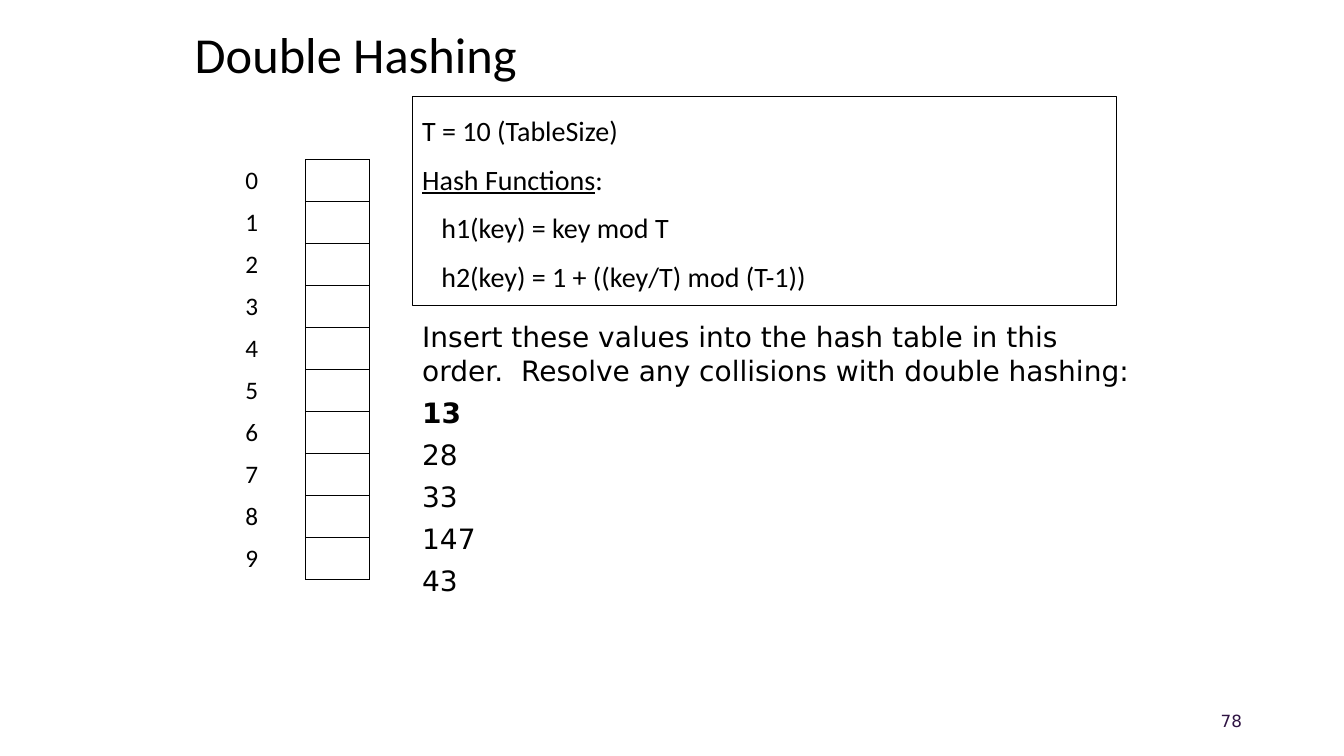
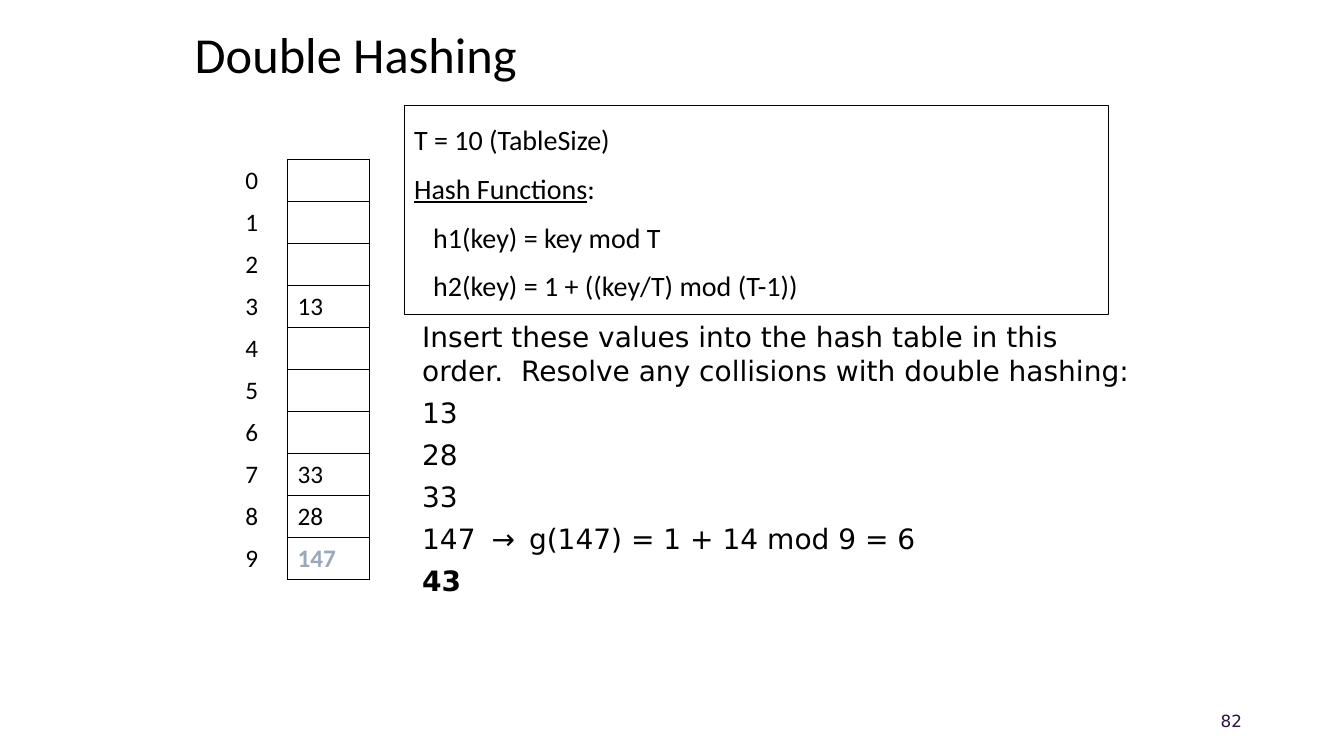
from lxml import etree
from pptx import Presentation
from pptx import util as u
from pptx.dml.color import RGBColor
from pptx.enum import shapes, text
from pptx.oxml import ns

WIDTH, HEIGHT = u.Inches(13.333), u.Inches(7.5)
COLUMN, ROW = WIDTH / 40, HEIGHT / 18
BLACK, PLUM, GREY_BLUE = "000000", "2F1343", "99A8BD"
HEADING_FONT, READING_FONT = "Calibri", "DejaVu Sans"
TASK = ("Insert these values into the hash table in this order.  "
        "Resolve any collisions with double hashing:")
KEYS = ["13", "28", "33", "147", "43"]
SLOT_COUNT = 10


def color(hex_code):
    return RGBColor.from_string(hex_code)


def place(left, top, width, height):
    return (u.Emu(round(left * COLUMN)), u.Emu(round(top * ROW)),
            u.Emu(round(width * COLUMN)), u.Emu(round(height * ROW)))


def style(paragraph, face, size, ink=BLACK, bold=False):
    for run in paragraph.runs:
        run.font.name = face
        run.font.size = u.Pt(size)
        run.font.color.rgb = color(ink)
        run.font.bold = bold


def add_lines(slide, area, lines, anchor=text.MSO_ANCHOR.TOP):
    frame = slide.shapes.add_textbox(*place(*area)).text_frame
    frame.word_wrap = True
    frame.vertical_anchor = anchor
    frame.text = "\n".join(lines)
    for paragraph in frame.paragraphs[1:]:
        paragraph.space_before = u.Pt(6)
    return frame.paragraphs


def add_title(slide, words):
    title, = add_lines(slide, (5.5, 0.45, 29, 1.8), [words], text.MSO_ANCHOR.MIDDLE)
    title.line_spacing = 0.9
    style(title, HEADING_FONT, 36)


def add_page_number(slide, number):
    page, = add_lines(slide, (28.26, 16.68, 9, 0.96), [str(number)], text.MSO_ANCHOR.MIDDLE)
    page.alignment = text.PP_ALIGN.RIGHT
    style(page, READING_FONT, 12, PLUM)


def add_tabs(paragraph, stops):
    tabs = etree.SubElement(paragraph._p.get_or_add_pPr(), ns.qn("a:tabLst"))
    for stop in stops:
        etree.SubElement(tabs, ns.qn("a:tab"), pos=str(u.Inches(stop)), algn="l")


def add_insertions(slide, current, notes):
    lines = [TASK] + [key + notes.get(key, "") for key in KEYS]
    paragraphs = add_lines(slide, (12.27, 7.49, 21.84, 6.91), lines)
    for paragraph, key in zip(paragraphs, [None] + KEYS):
        if key in notes:
            add_tabs(paragraph, (0.69, 1.06))
        style(paragraph, READING_FONT, 20, bold=key == current)


def add_hash_functions(slide, left, top):
    panel = slide.shapes.add_shape(shapes.MSO_SHAPE.RECTANGLE, *place(left, top, 20.97, 4.97))
    panel.shadow.inherit = False
    panel.fill.background()
    panel.line.color.rgb = color(BLACK)
    panel.line.width = u.Pt(0.75)
    frame = panel.text_frame
    frame.word_wrap = True
    frame.vertical_anchor = text.MSO_ANCHOR.TOP
    frame.margin_top = frame.margin_bottom = u.Inches(0.1)
    frame.text = ("T = 10 (TableSize)\nHash Functions\n"
                  "h1(key) = key mod T\nh2(key) = 1 + ((key/T) mod (T-1))")
    heading, formulas = frame.paragraphs[1], frame.paragraphs[2:]
    heading.runs[0].font.underline = True
    heading.add_run().text = ":"
    for formula in formulas:
        formula._p.get_or_add_pPr().set("marL", str(u.Inches(0.19)))
    for index, paragraph in enumerate(frame.paragraphs):
        paragraph.alignment = text.PP_ALIGN.LEFT
        paragraph.line_spacing = 1.2
        if index:
            paragraph.space_before = u.Pt(6)
        style(paragraph, HEADING_FONT, 20)


def add_borders(cell, sides):
    properties = cell._tc.get_or_add_tcPr()
    for position, side in enumerate(sides):
        border = etree.Element(ns.qn(f"a:ln{side}"), w=str(u.Pt(1)))
        fill = etree.SubElement(border, ns.qn("a:solidFill"))
        etree.SubElement(fill, ns.qn("a:srgbClr"), val=BLACK)
        properties.insert(position, border)


def fill_cell(cell, words, sides, ink=BLACK, bold=False):
    cell.fill.background()
    cell.vertical_anchor = text.MSO_ANCHOR.MIDDLE
    cell.text = words
    style(cell.text_frame.paragraphs[0], HEADING_FONT, 18, ink, bold)
    add_borders(cell, sides)


def add_hash_table(slide, index_width, stored, newest):
    table = slide.shapes.add_table(SLOT_COUNT, 2, *place(7, 3.8, 4, SLOT_COUNT)).table
    table.first_row = table.horz_banding = False
    for column, width in zip(table.columns, (index_width, 4 - index_width)):
        column.width = u.Emu(round(width * COLUMN))
    for slot in range(SLOT_COUNT):
        key = stored.get(slot, "")
        is_newest = slot == newest
        fill_cell(table.cell(slot, 0), str(slot), "R")
        fill_cell(table.cell(slot, 1), key, "LRTB",
                  GREY_BLUE if is_newest else BLACK, is_newest)


def add_step(deck, number, current, panel_corner, index_width,
             stored=None, newest=None, notes=None):
    slide = deck.slides.add_slide(deck.slide_layouts[6])
    add_title(slide, "Double Hashing")
    add_insertions(slide, current, notes or {})
    add_hash_functions(slide, *panel_corner)
    add_page_number(slide, number)
    add_hash_table(slide, index_width, stored or {}, newest)


def main():
    deck = Presentation()
    deck.slide_width, deck.slide_height = WIDTH, HEIGHT
    add_step(deck, 78, "13", (12.27, 2.3), 2.1)
    add_step(deck, 82, "43", (12.03, 2.52), 1.56,
             stored={3: "13", 7: "33", 8: "28", 9: "147"}, newest=9,
             notes={"147": "\t→\tg(147) = 1 + 14 mod 9 = 6"})
    deck.save("out.pptx")


if __name__ == "__main__":
    main()
